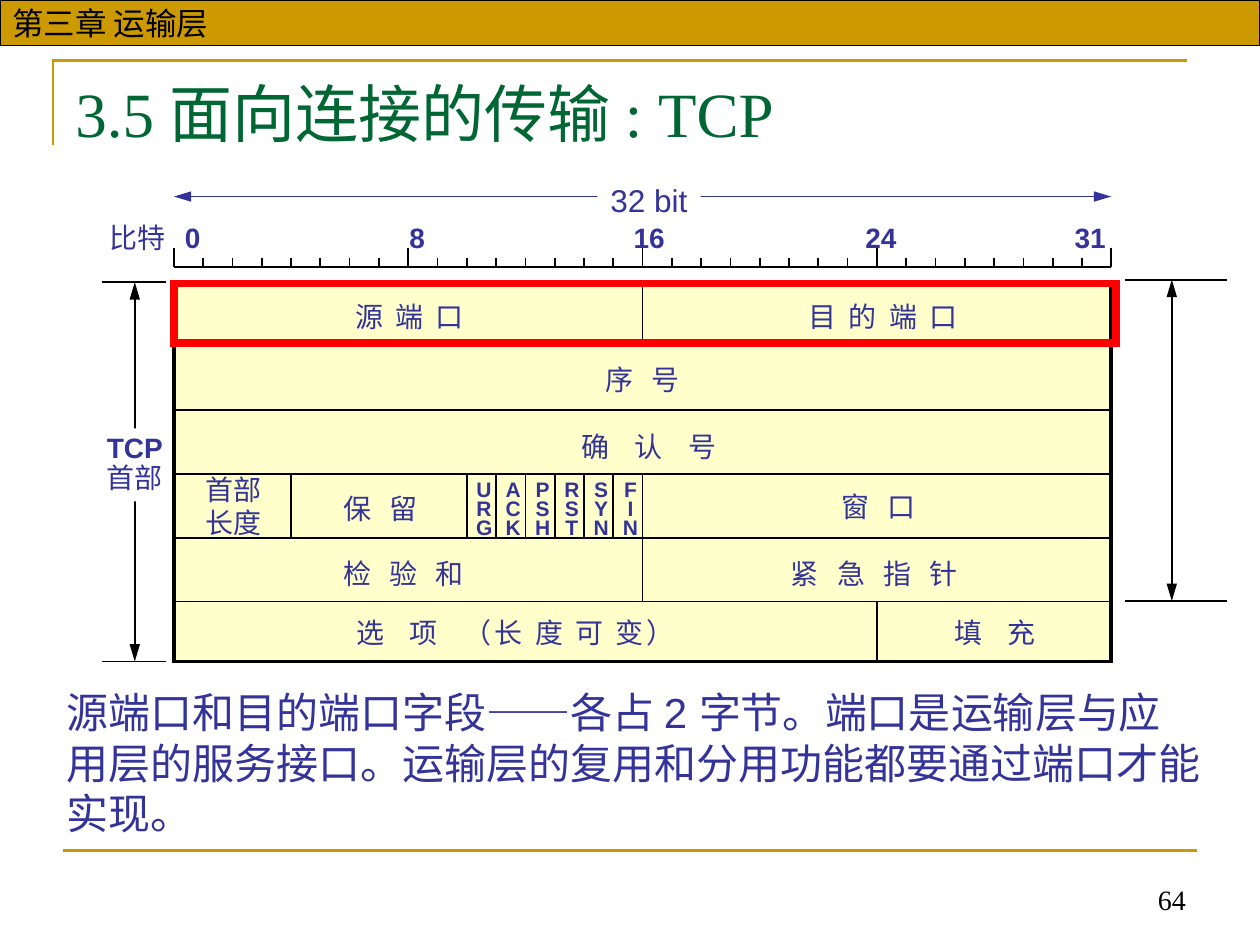
"""Build a slide on the TCP header layout and its port fields."""
from lxml import etree
from pptx import Presentation
from pptx import util as u
from pptx.dml.color import RGBColor
from pptx.enum import shapes, text
from pptx.oxml import ns

GOLD, GREEN, INDIGO = RGBColor(204, 153, 0), RGBColor(0, 102, 51), RGBColor(51, 51, 153)
CREAM, RED = RGBColor(255, 255, 204), RGBColor(255, 0, 0)
BLACK, WHITE = RGBColor(0, 0, 0), RGBColor(255, 255, 255)
LEFT, TOP, BIT, ROW, BOTTOM = 1.38, 2.24, 7.44 / 32, 0.507, 5.25
RULER_BOTTOM = 2.12
CENTER, RIGHT = text.PP_ALIGN.CENTER, text.PP_ALIGN.RIGHT
MIDDLE, LOW = text.MSO_ANCHOR.MIDDLE, text.MSO_ANCHOR.BOTTOM
NARROW, MEDIUM, BROAD = 1.8, 3.45, 5.5

# (left, top, width, pieces of (text, letter spacing in points))
FIELDS = [
    (2.69, 2.33, 1.12, [("源 端 口", NARROW)]),
    (6.27, 2.33, 1.48, [("目 的 端 口", NARROW)]),
    (4.68, 2.83, 0.84, [("序 号", MEDIUM)]),
    (4.44, 3.36, 1.42, [("确 认 号", BROAD)]),
    (2.60, 3.85, 0.84, [("保 留", MEDIUM)]),
    (6.55, 3.84, 0.84, [("窗 口", MEDIUM)]),
    (2.58, 4.37, 1.25, [("检 验 和", MEDIUM)]),
    (6.11, 4.37, 1.66, [("紧 急 指 针", MEDIUM)]),
    (2.47, 4.84, 3.25, [("选 项 ", BROAD), ("（长 度 可 变）", NARROW)]),
    (7.45, 4.84, 0.90, [("填 充", BROAD)]),
]
FLAGS = ["URG", "ACK", "PSH", "RST", "SYN", "FIN"]
DIVIDERS = [(16, 0, 1), (16, 3, 5), (4, 3, 4), (24, 5, 6)] + [(b, 3, 4) for b in range(10, 16)]
BIT_NUMBERS = [("0", 0.6), ("8", 2.38), ("16", 4.16), ("24", 6.0), ("31", 7.66)]
EXTENTS = [(0.81, 1.32, 1.07, TOP, BOTTOM), (8.93, 9.74, 9.3, 2.22, 4.77)]
EXPLANATION = ("源端口和目的端口字段——各占 2 字节。端口是运输层与应用层的服务接口。"
               "运输层的复用和分用功能都要通过端口才能实现。")

deck = Presentation()
deck.slide_width, deck.slide_height = u.Inches(10), u.Inches(7.5)
slide = deck.slides.add_slide(deck.slide_layouts[6])


def inches(*lengths):
    return [u.Inches(length) for length in lengths]


def line(x1, y1, x2, y2, color=BLACK, width=1, arrows=False):
    rule = slide.shapes.add_connector(shapes.MSO_CONNECTOR.STRAIGHT, *inches(x1, y1, x2, y2))
    rule.line.color.rgb, rule.line.width = color, u.Pt(width)
    if arrows:
        stroke = rule.line._get_or_add_ln()
        for end in ("a:headEnd", "a:tailEnd"):
            etree.SubElement(stroke, ns.qn(end), type="triangle", w="med", len="lg")
    etree.SubElement(rule._element.spPr, ns.qn("a:effectLst"))


def outline(shape, color, width):
    shape.line.color.rgb, shape.line.width = color, u.Pt(width)
    etree.SubElement(shape.line._get_or_add_ln(), ns.qn("a:miter"), lim="800000")


def box(at, fill=None, stroke=None, width=1):
    rect = slide.shapes.add_shape(shapes.MSO_SHAPE.RECTANGLE, *inches(*at))
    rect.shadow.inherit = False
    if fill is None:
        rect.fill.background()
    else:
        rect.fill.solid()
        rect.fill.fore_color.rgb = fill
    if stroke is None:
        rect.line.fill.background()
    else:
        outline(rect, stroke, width)
    return rect


def write(at, lines, size=16, color=INDIGO, font="Arial", bold=False, align=text.PP_ALIGN.LEFT,
          anchor=text.MSO_ANCHOR.TOP, wrap=False, spacing=None, holder=None):
    holder = holder or slide.shapes.add_textbox(*inches(*at))
    frame = holder.text_frame
    frame.word_wrap, frame.vertical_anchor = wrap, anchor
    frame.text = "\n".join(lines)
    for paragraph in frame.paragraphs:
        paragraph.alignment = align
        if spacing:
            paragraph.line_spacing = spacing
        for run in paragraph.runs:
            style(run, size, color, font, bold)
    return frame


def style(run, size=16, color=INDIGO, font="Arial", bold=False):
    run.font.size, run.font.name, run.font.bold = u.Pt(size), font, bold
    run.font.color.rgb = color


def page_frame():
    corner = slide.shapes.build_freeform(*inches(0.42, 1.15), scale=1.0)
    corner.add_line_segments([inches(0.42, 0.48), inches(9.42, 0.48)], close=False)
    bracket = corner.convert_to_shape()
    bracket.shadow.inherit = False
    bracket.fill.background()
    outline(bracket, GOLD, 1.5)
    line(0.5, 6.75, 9.5, 6.75, GOLD, 1.5)
    chapter = (0, 0, 10, 0.36)
    write(chapter, ["第三章 运输层"], 18, BLACK, anchor=MIDDLE, wrap=True,
          holder=box(chapter, GOLD, BLACK, 0.75))
    write((6.34, 6.82, 3.17, 0.5), ["64"], 16, BLACK, "Times New Roman",
          align=RIGHT, anchor=LOW, wrap=True)
    write((0.5, 0.54, 9, 0.77), ["3.5 面向连接的传输 : TCP"], 36, GREEN,
          "Times New Roman", wrap=True)


def ruler():
    line(LEFT, 1.56, LEFT + 32 * BIT, 1.56, INDIGO, arrows=True)
    total = (4.74, 1.39, 0.82, 0.4)
    write(total, ["32 bit"], 18, align=CENTER, holder=box(total, WHITE))
    line(LEFT, RULER_BOTTOM, LEFT + 32 * BIT, RULER_BOTTOM)
    for bit in range(33):
        x = LEFT + bit * BIT
        line(x, 2.05 if bit % 8 else 1.97, x, RULER_BOTTOM)
    numbers = write((0.77, 1.7, 8.27, 0.37), ["比特"], wrap=True).paragraphs[0]
    stops = etree.SubElement(numbers._p.get_or_add_pPr(), ns.qn("a:tabLst"))
    for number, stop in BIT_NUMBERS:
        etree.SubElement(stops, ns.qn("a:tab"), pos=str(u.Inches(stop)), algn="l")
        run = numbers.add_run()
        run.text = "\t" + number
        style(run, bold=True)


def header():
    box((LEFT, TOP, 32 * BIT, BOTTOM - TOP), CREAM, BLACK, 2)
    for row in range(1, 6):
        line(LEFT, TOP + row * ROW, LEFT + 32 * BIT, TOP + row * ROW)
    for bit, first, last in DIVIDERS:
        x = LEFT + bit * BIT
        line(x, TOP + first * ROW, x, min(TOP + last * ROW, BOTTOM))
    for left, top, width, pieces in FIELDS:
        label = write((left, top, width, 0.37), [""], align=CENTER).paragraphs[0]
        for piece, gap in pieces:
            run = label.add_run()
            run.text = piece
            style(run)
            run.font._element.set("spc", str(round(gap * 100)))
    write((1.53, 3.7, 0.65, 0.64), ["首部", "长度"])
    for bit, flag in enumerate(FLAGS, 10):
        write((LEFT + (bit + 0.5) * BIT - 0.14, 3.78, 0.32, 0.55), flag, 12,
              bold=True, align=CENTER, spacing=0.75)


def extents():
    for left, right, x, top, bottom in EXTENTS:
        line(left, top, right, top)
        line(left, bottom, right, bottom)
        line(x, top, x, bottom, arrows=True)
    name = (0.75, 3.4, 0.6, 0.58)
    label = write(name, ["TCP", "首部"], spacing=0.9, holder=box(name, WHITE))
    label.paragraphs[0].runs[0].font.bold = True


page_frame()
ruler()
extents()
header()
box((LEFT, 2.25, 7.48, 0.47), stroke=RED, width=4.5)
write((0.43, 5.4, 9.21, 1.31), [EXPLANATION], 24, wrap=True)
deck.save("out.pptx")
